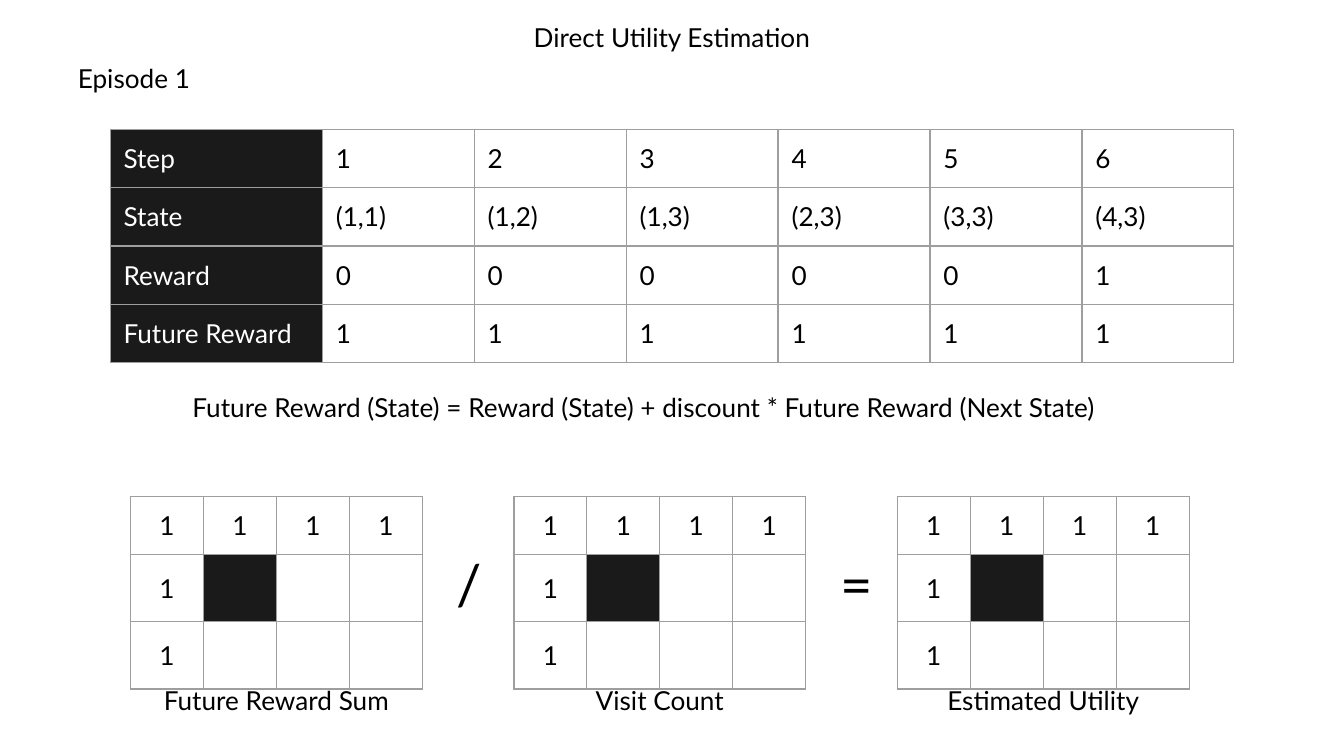
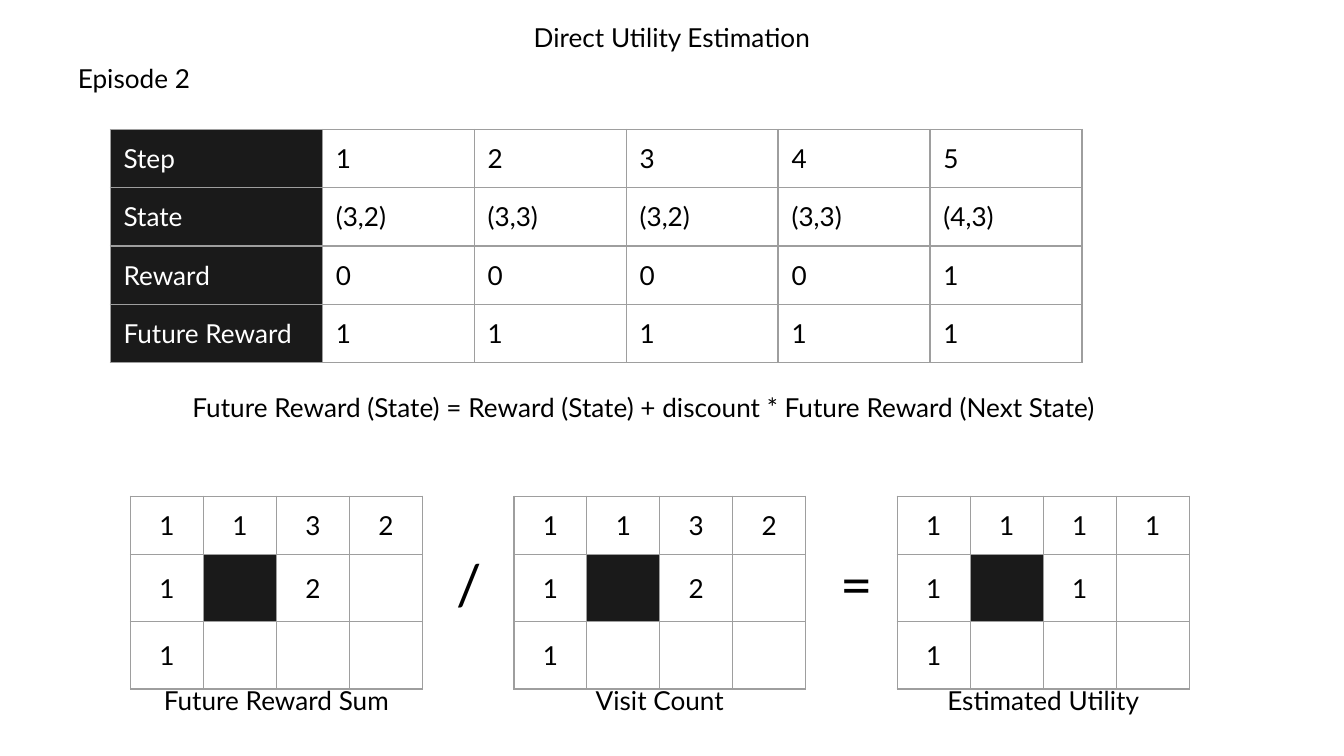
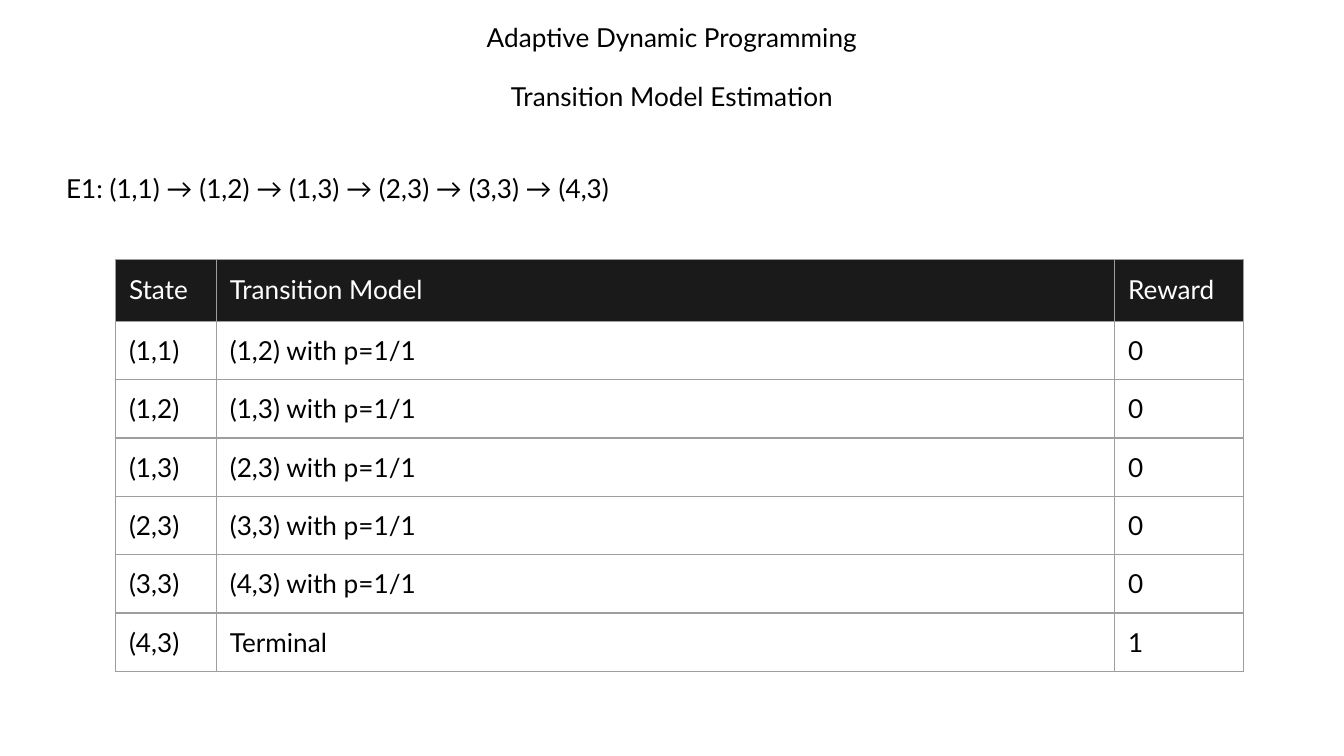
from lxml.etree import SubElement
from pptx import Presentation
from pptx.dml.color import RGBColor
from pptx.enum.text import MSO_ANCHOR, MSO_AUTO_SIZE, PP_ALIGN
from pptx.oxml.ns import qn
from pptx.util import Pt

SLIDE_WIDTH, SLIDE_HEIGHT = 720, 405
FONT = "Lato"
BLACK, WHITE, DARK, BORDER = "000000", "FFFFFF", "1A1A1A", "9E9E9E"
INSET = 7.2
LINE_HEIGHT = 31.6
GRID_COLUMN, GRID_ROW = 39.1, 30
GRID_WIDTH = 4 * GRID_COLUMN
GRID_STEP = 205.4
WALL = (1, 1)


def color(hex_string):
    return RGBColor.from_string(hex_string)


def write(frame, text, size=14, fill=BLACK, align=PP_ALIGN.LEFT):
    paragraph = frame.paragraphs[0]
    paragraph.alignment = align
    run = paragraph.add_run()
    run.text = text
    run.font.name = FONT
    run.font.size = Pt(size)
    run.font.color.rgb = color(fill)


def set_insets(target):
    target.margin_left = target.margin_right = Pt(INSET)
    target.margin_top = target.margin_bottom = Pt(INSET)
    target.vertical_anchor = MSO_ANCHOR.TOP


def fill_frame(shape, text, **text_format):
    frame = shape.text_frame
    set_insets(frame)
    frame.word_wrap = True
    frame.auto_size = MSO_AUTO_SIZE.SHAPE_TO_FIT_TEXT
    write(frame, text, **text_format)


def add_text(slide, text, left, top, width, height=LINE_HEIGHT, **text_format):
    shape = slide.shapes.add_textbox(Pt(left), Pt(top), Pt(width), Pt(height))
    fill_frame(shape, text, **text_format)


def add_titled_slide(presentation, title, width):
    slide = presentation.slides.add_slide(presentation.slide_layouts[5])
    shape = slide.shapes.title
    shape.left, shape.top = Pt((SLIDE_WIDTH - width) / 2), Pt(4.4)
    shape.width, shape.height = Pt(width), Pt(LINE_HEIGHT)
    fill_frame(shape, title, align=PP_ALIGN.CENTER)
    return slide


def draw_borders(cell):
    properties = cell._tc.get_or_add_tcPr()
    for side in ("a:lnL", "a:lnR", "a:lnT", "a:lnB"):
        line = SubElement(properties, qn(side), w=str(Pt(0.75)))
        solid = SubElement(line, qn("a:solidFill"))
        SubElement(solid, qn("a:srgbClr"), val=BORDER)


def add_table(slide, rows, left, top, widths, heights, is_dark, centered=False):
    table = slide.shapes.add_table(
        len(rows), len(widths), Pt(left), Pt(top), Pt(sum(widths)), Pt(sum(heights))
    ).table
    table.first_row = table.horz_banding = False
    for column, width in zip(table.columns, widths):
        column.width = Pt(width)
    for row, height in zip(table.rows, heights):
        row.height = Pt(height)
    for row_index, row in enumerate(rows):
        for column_index, text in enumerate(row):
            cell = table.cell(row_index, column_index)
            set_insets(cell)
            draw_borders(cell)
            dark = is_dark(row_index, column_index)
            if dark:
                cell.fill.solid()
                cell.fill.fore_color.rgb = color(DARK)
            else:
                cell.fill.background()
            if centered:
                cell.vertical_anchor = MSO_ANCHOR.MIDDLE
            if text:
                write(cell.text_frame, text, fill=WHITE if dark else BLACK,
                      align=PP_ALIGN.CENTER if centered else PP_ALIGN.LEFT)


def add_episode_table(slide, left, top, states, rewards, future_rewards):
    steps = [str(step) for step in range(1, len(states) + 1)]
    rows = [["Step", *steps], ["State", *states],
            ["Reward", *rewards], ["Future Reward", *future_rewards]]
    add_table(slide, rows, left, top, [113.7] + [81.4] * len(states), [30] * 4,
              lambda row, column: column == 0)


def add_state_grid(slide, left, top, values, caption):
    add_table(slide, values, left, top, [GRID_COLUMN] * 4, [GRID_ROW] * 3,
              lambda row, column: (row, column) == WALL, centered=True)
    add_text(slide, caption, left, top + 93.6, GRID_WIDTH, align=PP_ALIGN.CENTER)


def add_utility_equation(slide, left, top, sums, counts, utilities):
    captions = ("Future Reward Sum", "Visit Count", "Estimated Utility")
    for index, (values, caption) in enumerate(zip((sums, counts, utilities), captions)):
        add_state_grid(slide, left + index * GRID_STEP, top, values, caption)
    for index, operator in enumerate("/="):
        add_text(slide, operator, left + 167.8 + index * GRID_STEP, top + 21.6,
                 26.6, 51, size=30)


def add_episode_slide(presentation, number, states, rewards, sums, counts, utilities):
    slide = add_titled_slide(presentation, "Direct Utility Estimation", 192)
    add_text(slide, f"Episode {number}", 34.6, 26, 78.5)
    add_episode_table(slide, 59, 69.3, states, rewards, ["1"] * len(states))
    add_text(slide, "Future Reward (State) = Reward (State) + discount * "
             "Future Reward (Next State)", 96, 202.5, 528)
    add_utility_equation(slide, 69.9, 265.8, sums, counts, utilities)


def add_transition_slide(presentation, states):
    slide = add_titled_slide(presentation, "Adaptive Dynamic Programming", 235.6)
    add_text(slide, "Transition Model Estimation", 242.2, 36, 235.6,
             align=PP_ALIGN.CENTER)
    add_text(slide, "E1: " + " → ".join(states), 28.3, 85.2, 386)
    rows = [["State", "Transition Model", "Reward"]]
    rows += [[state, f"{following} with p=1/1", "0"]
             for state, following in zip(states, states[1:])]
    rows.append([states[-1], "Terminal", "1"])
    add_table(slide, rows, 61.9, 139.2, [54, 481.2, 69],
              [33] + [31.2] * len(states), lambda row, column: row == 0)


def main():
    presentation = Presentation()
    presentation.slide_width = Pt(SLIDE_WIDTH)
    presentation.slide_height = Pt(SLIDE_HEIGHT)

    first_states = ["(1,1)", "(1,2)", "(1,3)", "(2,3)", "(3,3)", "(4,3)"]
    second_states = ["(3,2)", "(3,3)", "(3,2)", "(3,3)", "(4,3)"]
    bottom_row = ["1", "", "", ""]
    first_grid = [["1"] * 4, ["1", "", "", ""], bottom_row]
    second_grid = [["1", "1", "3", "2"], ["1", "", "2", ""], bottom_row]
    second_utility = [["1"] * 4, ["1", "", "1", ""], bottom_row]

    add_episode_slide(presentation, 1, first_states, "000001",
                      first_grid, first_grid, first_grid)
    add_episode_slide(presentation, 2, second_states, "00001",
                      second_grid, second_grid, second_utility)
    add_transition_slide(presentation, first_states)
    presentation.save("out.pptx")


if __name__ == "__main__":
    main()
